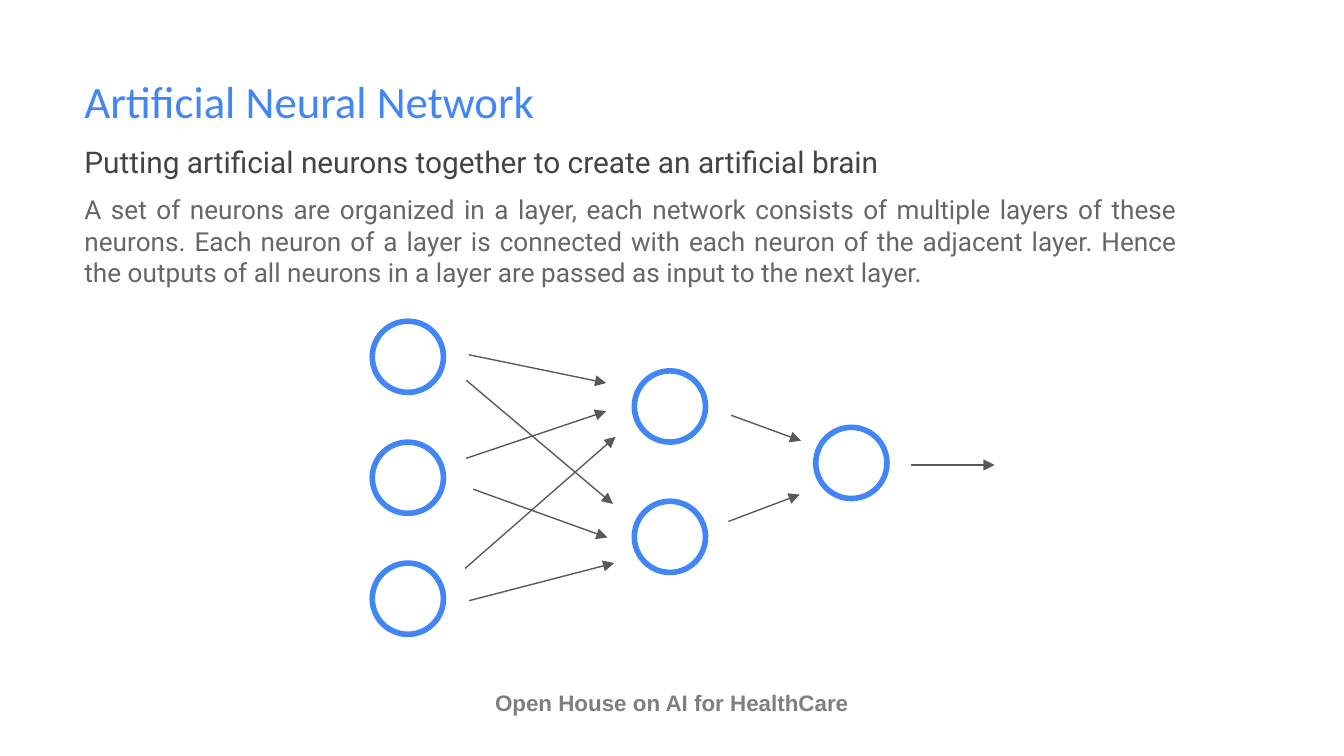
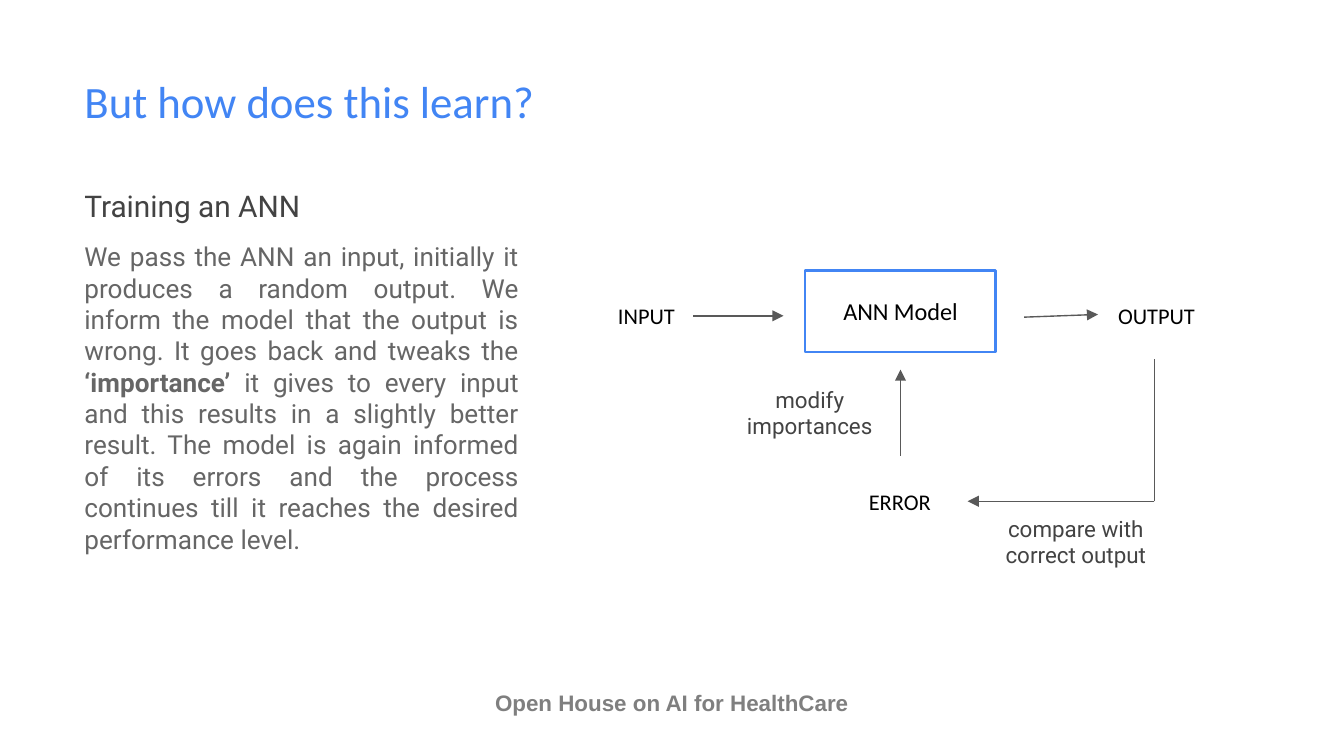
from dataclasses import dataclass

from lxml import etree
from pptx import Presentation
from pptx.dml.color import RGBColor
from pptx.enum.shapes import MSO_CONNECTOR, MSO_SHAPE
from pptx.enum.text import MSO_ANCHOR, MSO_AUTO_SIZE, PP_ALIGN
from pptx.oxml.ns import qn
from pptx.util import Inches, Pt

LEFT, CENTER, JUSTIFY = PP_ALIGN.LEFT, PP_ALIGN.CENTER, PP_ALIGN.JUSTIFY
TOP, MIDDLE = MSO_ANCHOR.TOP, MSO_ANCHOR.MIDDLE
GROW = MSO_AUTO_SIZE.SHAPE_TO_FIT_TEXT
STRAIGHT = MSO_CONNECTOR.STRAIGHT
OVAL, RECT = MSO_SHAPE.OVAL, MSO_SHAPE.RECTANGLE
RIGHT_SIDE = 3

BLUE = RGBColor(0x42, 0x85, 0xF4)
WHITE = RGBColor(0xFF, 0xFF, 0xFF)
BLACK = RGBColor(0x00, 0x00, 0x00)
DARK = RGBColor(0x43, 0x43, 0x43)
GRAY = RGBColor(0x66, 0x66, 0x66)
ARROW_GRAY = RGBColor(0x59, 0x59, 0x59)
FOOTER_GRAY = RGBColor(0x7F, 0x7F, 0x7F)

# The grid has 100 square cells across the slide; all lengths are in cells
SLIDE_W, SLIDE_H = Inches(10), Inches(5.625)
CELL = SLIDE_W / 100
MARGIN = 5.3
NEURON = 5.3
PADDING = (1, 1)
FOOTER = "Open House on AI for HealthCare"


@dataclass(frozen=True)
class Style:
    font: str
    size: float
    color: RGBColor
    align: PP_ALIGN = LEFT
    bold: bool = False
    padding: tuple[float, float] = PADDING


@dataclass(frozen=True)
class Box:
    x: float
    y: float
    w: float
    h: float

    def emu(self) -> list[int]:
        return [cells(v) for v in (self.x, self.y, self.w, self.h)]


@dataclass(frozen=True)
class Layer:
    x: float
    y: float
    count: int
    pitch: float = 0


@dataclass(frozen=True)
class Arrow:
    x1: float
    y1: float
    x2: float
    y2: float
    head: bool = True


@dataclass(frozen=True)
class Label:
    text: str
    box: Box
    style: Style


TITLE = Style("Calibri", 24, BLUE)
SUBTITLE = Style("Roboto", 16, DARK)
BODY = Style("Roboto", 14, GRAY, JUSTIFY)
NODE = Style("Calibri", 12, BLACK)
ERROR_NODE = Style("Calibri", 12, BLACK, CENTER)
MODEL = Style("Calibri", 13, BLACK, CENTER)
NOTE = Style("Roboto", 12, DARK, CENTER)
FOOT = Style("Arial", 12, FOOTER_GRAY, CENTER, True, (0.7, 0.4))

# Network diagram
LAYERS = [Layer(27.7, 23.9, 3, 9), Layer(47.2, 27.6, 2, 9.7), Layer(60.7, 31.8, 1)]
NETWORK_ARROWS = [
    Arrow(54.2, 38.8, 59.5, 36.8),
    Arrow(34.9, 26.4, 45.1, 28.5),
    Arrow(34.7, 28.3, 45.6, 37.5),
    Arrow(34.6, 42.3, 45.8, 32.5),
    Arrow(34.9, 44.7, 45.7, 41.9),
    Arrow(34.7, 34.1, 45.1, 30.6),
    Arrow(35.2, 36.4, 45.2, 40),
    Arrow(67.8, 34.6, 74, 34.6),
    Arrow(54.4, 30.9, 59.6, 32.8),
]

# Training loop
MODEL_BOX = Box(59.9, 20.1, 14.2, 6.1)
ERROR_BOX = Box(61.9, 35.3, 10.1, 4)
CORNER = (85.9, 37.3)
LOOP_LABELS = [
    Label("INPUT", Box(45, 21.5, 7.6, 4), NODE),
    Label("OUTPUT", Box(82.2, 21.5, 10.1, 4), NODE),
    Label("compare with correct output", Box(72, 37.3, 16.1, 6.1), NOTE),
    Label("modify importances", Box(53.3, 27.7, 13.9, 6.1), NOTE),
]
LOOP_ARROWS = [
    Arrow(51.6, 23.5, 58.3, 23.5),
    Arrow(76.2, 23.6, 81.7, 23.4),
    Arrow(*CORNER, CORNER[0], 26.7, head=False),
    Arrow(67, 33.9, 67, 27.5),
]


def cells(n: float) -> int:
    return round(n * CELL)


def set_all(target, **values) -> None:
    for name, value in values.items():
        setattr(target, name, value)


def write(shape, runs: list[tuple[str, bool]], style: Style, anchor=TOP) -> None:
    px, py = (cells(v) for v in style.padding)
    tf = shape.text_frame
    set_all(tf, word_wrap=True, vertical_anchor=anchor, margin_left=px,
            margin_right=px, margin_top=py, margin_bottom=py)
    p = tf.paragraphs[0]
    p.alignment = style.align
    for text, bold in runs:
        r = p.add_run()
        r.text = text
        set_all(r.font, name=style.font, size=Pt(style.size), bold=bold)
        r.font.color.rgb = style.color


def add_rich_text(s, runs: list[tuple[str, bool]], box: Box, style: Style):
    sp = s.shapes.add_textbox(*box.emu())
    write(sp, runs, style)
    sp.text_frame.auto_size = GROW
    return sp


def add_text(s, text: str, box: Box, style: Style):
    return add_rich_text(s, [(text, style.bold)], box, style)


def add_outlined(s, kind, box: Box, width: float):
    sp = s.shapes.add_shape(kind, *box.emu())
    sp.shadow.inherit = False
    sp.fill.solid()
    sp.fill.fore_color.rgb = WHITE
    sp.line.color.rgb = BLUE
    sp.line.width = Pt(width)
    return sp


def add_arrow(s, arrow: Arrow):
    ends = (arrow.x1, arrow.y1, arrow.x2, arrow.y2)
    line = s.shapes.add_connector(STRAIGHT, *map(cells, ends))
    line.line.color.rgb = ARROW_GRAY
    line.line.width = Pt(0.75)
    if arrow.head:
        etree.SubElement(line.line._get_or_add_ln(), qn("a:tailEnd"), type="triangle")
    etree.SubElement(line._element.spPr, qn("a:effectLst"))
    return line


def add_slide(prs, title: str):
    s = prs.slides.add_slide(prs.slide_layouts[6])
    add_text(s, FOOTER, Box(25, 50.9, 50, 2.8), FOOT)
    add_text(s, title, Box(MARGIN, 4.5, 47.1, 6.1), TITLE)
    return s


def network_slide(prs) -> None:
    s = add_slide(prs, "Artificial Neural Network")
    add_text(s, "Putting artificial neurons together to create an artificial brain",
             Box(MARGIN, 9.7, 63.9, 4.7), SUBTITLE)
    add_text(s, "A set of neurons are organized in a layer, each network consists of "
             "multiple layers of these neurons. Each neuron of a layer is connected "
             "with each neuron of the adjacent layer. Hence the outputs of all neurons "
             "in a layer are passed as input to the next layer.",
             Box(MARGIN, 13.4, 83.3, 9.1), BODY)
    for layer in LAYERS:
        for i in range(layer.count):
            y = layer.y + i * layer.pitch
            add_outlined(s, OVAL, Box(layer.x, y, NEURON, NEURON), 3)
    for arrow in NETWORK_ARROWS:
        add_arrow(s, arrow)


def training_slide(prs) -> None:
    s = add_slide(prs, "But how does this learn?")
    add_text(s, "Training an ANN", Box(MARGIN, 13, 19, 4.7), SUBTITLE)
    add_rich_text(s, [
        ("We pass the ANN an input, initially it produces a random output. We inform "
         "the model that the output is wrong. It goes back and tweaks the ", False),
        ("‘importance’", True),
        (" it gives to every input and this results in a slightly better result. The "
         "model is again informed of its errors and the process continues till it "
         "reaches the desired performance level.", False),
    ], Box(MARGIN, 16.9, 34.3, 25.6), BODY)
    model = add_outlined(s, RECT, MODEL_BOX, 1.5)
    write(model, [("ANN Model", False)], MODEL, MIDDLE)
    for arrow in LOOP_ARROWS:
        add_arrow(s, arrow)
    for label in LOOP_LABELS:
        add_text(s, label.text, label.box, label.style)
    error = add_text(s, "ERROR", ERROR_BOX, ERROR_NODE)
    feedback = add_arrow(s, Arrow(*CORNER, ERROR_BOX.x + ERROR_BOX.w, CORNER[1]))
    feedback.end_connect(error, RIGHT_SIDE)


def main() -> None:
    prs = Presentation()
    set_all(prs, slide_width=SLIDE_W, slide_height=SLIDE_H)
    network_slide(prs)
    training_slide(prs)
    prs.save("out.pptx")


if __name__ == "__main__":
    main()
